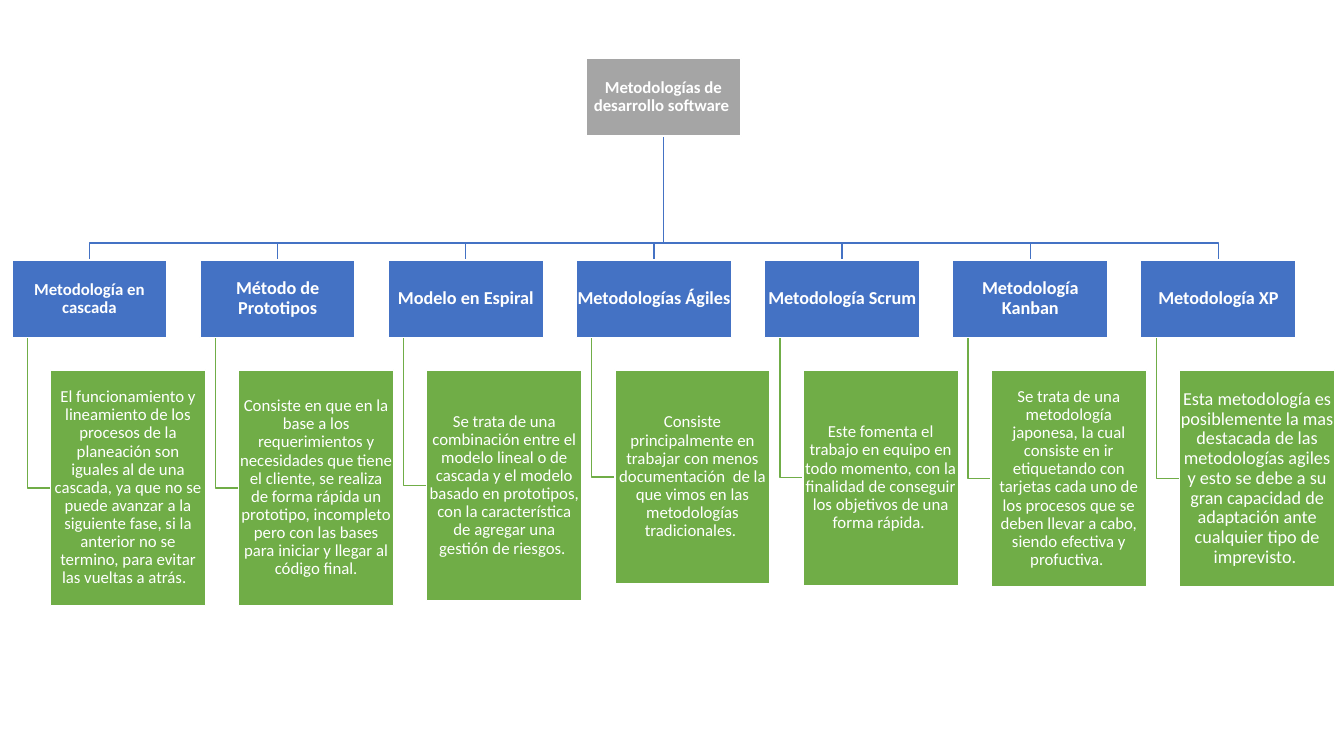
from pptx import Presentation
from pptx import util as u
from pptx.dml.color import RGBColor
from pptx.enum import shapes, text

GRAY = RGBColor(0xA5, 0xA5, 0xA5)
BLUE = RGBColor(0x44, 0x72, 0xC4)
GREEN = RGBColor(0x70, 0xAD, 0x47)
WHITE = RGBColor(0xFF, 0xFF, 0xFF)

deck = Presentation()
deck.slide_width = u.Inches(13.33)
deck.slide_height = u.Inches(7.5)
slide = deck.slides.add_slide(deck.slide_layouts[6])
X = deck.slide_width / 100
Y = deck.slide_height / 100

LEFT, COL, WIDE, TALL = 0.88, 14, 11.55, 10.27
ROOT, TOP, BUS, HEAD, BODY = 43.59, 7.73, 32.13, 34.4, 48.93
DROP, INDENT = 1.15, 2.87
MID = ROOT + WIDE / 2

items = [
    ("Metodología en cascada", 12, 31.2, 12,
     "El funcionamiento y lineamiento de los procesos de la planeación son "
     "iguales al de una cascada, ya que no se puede avanzar a la siguiente "
     "fase, si la anterior no se termino, para evitar las vueltas a atrás.  "),
    ("Método de Prototipos", 13, 31.2, 12,
     "Consiste en que en la base a los requerimientos y necesidades que tiene "
     "el cliente, se realiza de forma rápida un prototipo, incompleto pero "
     "con las bases para iniciar y llegar al código final."),
    ("Modelo en Espiral", 13, 30.5, 12,
     "Se trata de una combinación entre el modelo lineal o de cascada y el "
     "modelo basado en prototipos, con la característica de agregar una "
     "gestión de riesgos. "),
    ("Metodologías Ágiles", 13, 28.3, 12,
     "Consiste principalmente en trabajar con menos documentación  de la que "
     "vimos en las metodologías tradicionales. "),
    ("Metodología Scrum", 13, 28.5, 12,
     "Este fomenta el trabajo en equipo en todo momento, con la finalidad de "
     "conseguir los objetivos de una forma rápida. "),
    ("Metodología Kanban", 13, 28.7, 12,
     "Se trata de una metodología japonesa, la cual consiste en ir "
     "etiquetando con tarjetas cada uno de los procesos que se deben llevar "
     "a cabo, siendo efectiva y profuctiva. "),
    ("Metodología XP", 13, 28.7, 13,
     "Esta metodología es posiblemente la mas destacada de las metodologías "
     "agiles y esto se debe a su gran capacidad de adaptación ante cualquier "
     "tipo de imprevisto. "),
]


def link(points, color):
    spots = [(round(x * X), round(y * Y)) for x, y in points]
    pen = slide.shapes.build_freeform(*spots[0])
    pen.add_line_segments(spots[1:], close=False)
    line = pen.convert_to_shape()
    line.shadow.inherit = False
    line.fill.background()
    line.line.color.rgb = color
    line.line.width = u.Pt(1)


def box(left, top, tall, color, words, size, bold):
    rect = slide.shapes.add_shape(
        shapes.MSO_SHAPE.RECTANGLE, round(left * X), round(top * Y),
        round(WIDE * X), round(tall * Y))
    rect.shadow.inherit = False
    rect.fill.solid()
    rect.fill.fore_color.rgb = color
    rect.line.color.rgb = WHITE
    rect.line.width = u.Pt(1)
    frame = rect.text_frame
    frame.word_wrap = True
    frame.vertical_anchor = text.MSO_ANCHOR.MIDDLE
    frame.margin_left = frame.margin_right = u.Inches(0.01)
    frame.margin_top = frame.margin_bottom = u.Inches(0.01)
    para = frame.paragraphs[0]
    para.alignment = text.PP_ALIGN.CENTER
    para.line_spacing = 0.9
    run = para.add_run()
    run.text = words
    run.font.name = "Calibri"
    run.font.size = u.Pt(size)
    run.font.bold = bold
    run.font.color.rgb = WHITE


for i, (name, big, tall, small, note) in enumerate(items):
    left = LEFT + i * COL
    mid = left + WIDE / 2
    stem = left + DROP
    half = BODY + tall / 2
    link([(stem, HEAD + TALL), (stem, half), (left + INDENT, half)], GREEN)
    link([(MID, TOP + TALL), (MID, BUS), (mid, BUS), (mid, HEAD)], BLUE)

box(ROOT, TOP, TALL, GRAY, "Metodologías de desarrollo software ", 12, True)
for i, (name, big, tall, small, note) in enumerate(items):
    left = LEFT + i * COL
    box(left, HEAD, TALL, BLUE, name, big, True)
    box(left + INDENT, BODY, tall, GREEN, note, small, False)

deck.save("out.pptx")
